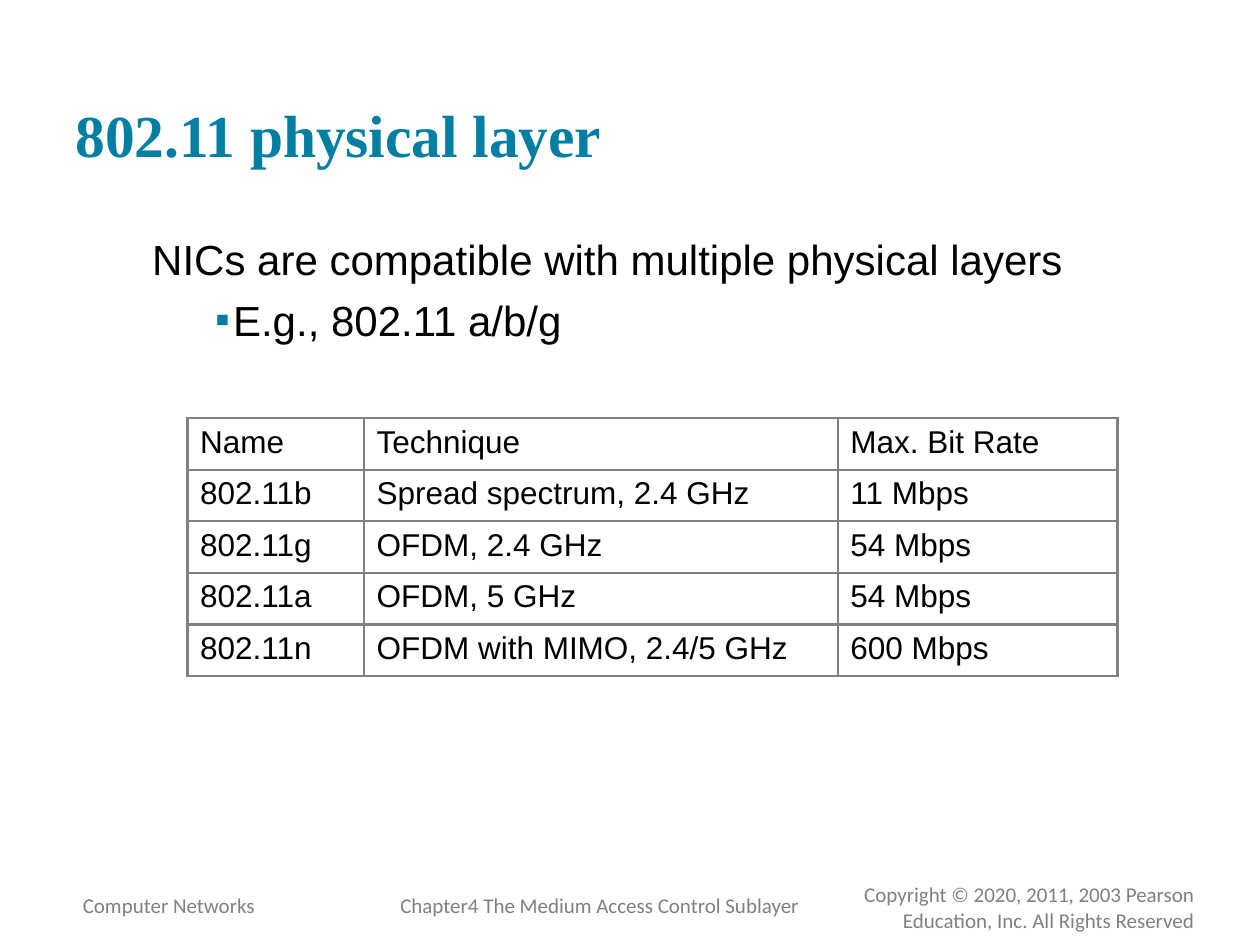
from lxml import etree
from pptx import Presentation
from pptx.dml.color import RGBColor
from pptx.enum.text import MSO_ANCHOR, PP_ALIGN
from pptx.oxml.ns import qn
from pptx.util import Cm, Pt

LEFT, RIGHT = PP_ALIGN.LEFT, PP_ALIGN.RIGHT
TOP, BOTTOM = MSO_ANCHOR.TOP, MSO_ANCHOR.BOTTOM

COLORS = {
    "accent": "007FA3",
    "text": "000000",
    "muted": "808080",
    "paper": "FFFFFF",
}

STANDARDS = [
    ("Name", "Technique", "Max. Bit Rate"),
    ("802.11b", "Spread spectrum, 2.4 GHz", "11 Mbps"),
    ("802.11g", "OFDM, 2.4 GHz", "54 Mbps"),
    ("802.11a", "OFDM, 5 GHz", "54 Mbps"),
    ("802.11n", "OFDM with MIMO, 2.4/5 GHz", "600 Mbps"),
]


class SlideBuilder:
    heading_font = "Times New Roman"
    body_font = "Arial"
    footer_font = "Calibri"

    def __init__(self, slide):
        self.slide = slide

    def style(self, paragraph, font, size, color, bold=False):
        for run in paragraph.runs:
            run.font.name = font
            run.font.size = Pt(size)
            run.font.bold = bold
            run.font.color.rgb = RGBColor.from_string(COLORS[color])

    def text_frame(self, left, top, width, height, inset, anchor=TOP):
        """Add a wrapping text box; inset is the top and bottom margin in cm."""
        box = self.slide.shapes.add_textbox(Cm(left), Cm(top), Cm(width), Cm(height))
        frame = box.text_frame
        frame.word_wrap = True
        frame.vertical_anchor = anchor
        frame.margin_left = frame.margin_right = Cm(0.25)
        frame.margin_top = frame.margin_bottom = Cm(inset)
        return frame

    def title(self, text):
        frame = self.text_frame(1.27, 0.61, 22.86, 3.05, 0.25, BOTTOM)
        frame.text = text
        self.style(frame.paragraphs[0], self.heading_font, 34, "accent", bold=True)

    def body(self, statement, example):
        frame = self.text_frame(1.27, 4.45, 22.86, 12.57, 0.25)
        frame.text = statement
        lead = frame.paragraphs[0]
        self.indent(lead, 1.55, 0)
        detail = frame.add_paragraph()
        detail.text = example
        detail.level = 1
        detail.space_before = Pt(6)
        self.indent(detail, 3.18, -0.36)
        self.bullet(detail, "▪")
        for paragraph in (lead, detail):
            self.style(paragraph, self.body_font, 24, "text")

    def indent(self, paragraph, margin, first_line):
        properties = paragraph._p.get_or_add_pPr()
        properties.set("marL", str(Cm(margin)))
        properties.set("indent", str(Cm(first_line)))

    def bullet(self, paragraph, mark):
        properties = paragraph._p.get_or_add_pPr()
        color = etree.SubElement(properties, qn("a:buClr"))
        etree.SubElement(color, qn("a:srgbClr"), val=COLORS["accent"])
        etree.SubElement(properties, qn("a:buFont"), typeface=self.body_font)
        etree.SubElement(properties, qn("a:buChar"), char=mark)

    def footer(self, text, left, top, width, height, align=LEFT):
        frame = self.text_frame(left, top, width, height, 0.13)
        frame.text = text
        frame.paragraphs[0].alignment = align
        self.style(frame.paragraphs[0], self.footer_font, 12, "muted")

    def table(self, rows, left, top, column_widths, row_height):
        frame = self.slide.shapes.add_table(
            len(rows), len(column_widths), Cm(left), Cm(top),
            Cm(sum(column_widths)), Cm(row_height * len(rows)))
        table = frame.table
        table.first_row = table.horz_banding = False
        for column, width in zip(table.columns, column_widths):
            column.width = Cm(width)
        for row, values in zip(table.rows, rows):
            row.height = Cm(row_height)
            for cell, value in zip(row.cells, values):
                cell.text = value
                self.style(cell.text_frame.paragraphs[0], self.body_font, 18, "text")
                self.border(cell)
                cell.fill.solid()
                cell.fill.fore_color.rgb = RGBColor.from_string(COLORS["paper"])

    def border(self, cell):
        properties = cell._tc.get_or_add_tcPr()
        for side in ("a:lnL", "a:lnR", "a:lnT", "a:lnB"):
            line = etree.SubElement(properties, qn(side), w=str(Pt(1.5)))
            fill = etree.SubElement(line, qn("a:solidFill"))
            etree.SubElement(fill, qn("a:srgbClr"), val=COLORS["muted"])


def main():
    presentation = Presentation()
    presentation.slide_width = Cm(25.4)
    presentation.slide_height = Cm(19.05)
    blank_layout = presentation.slide_layouts[6]
    builder = SlideBuilder(presentation.slides.add_slide(blank_layout))

    builder.footer("Copyright © 2020, 2011, 2003 Pearson Education, Inc. All Rights Reserved",
                   16.28, 17.65, 8.05, 0.56, RIGHT)
    builder.footer("Computer Networks", 1.42, 17.86, 8.79, 0.76)
    builder.footer("Chapter4 The Medium Access Control Sublayer", 7.82, 17.86, 10.95, 0.76)
    builder.body("NICs are compatible with multiple physical layers", "E.g., 802.11 a/b/g")
    builder.title("802.11 physical layer")
    builder.table(STANDARDS, 3.78, 8.43, (3.56, 9.55, 5.64), 1.04)

    presentation.save("out.pptx")


if __name__ == "__main__":
    main()
